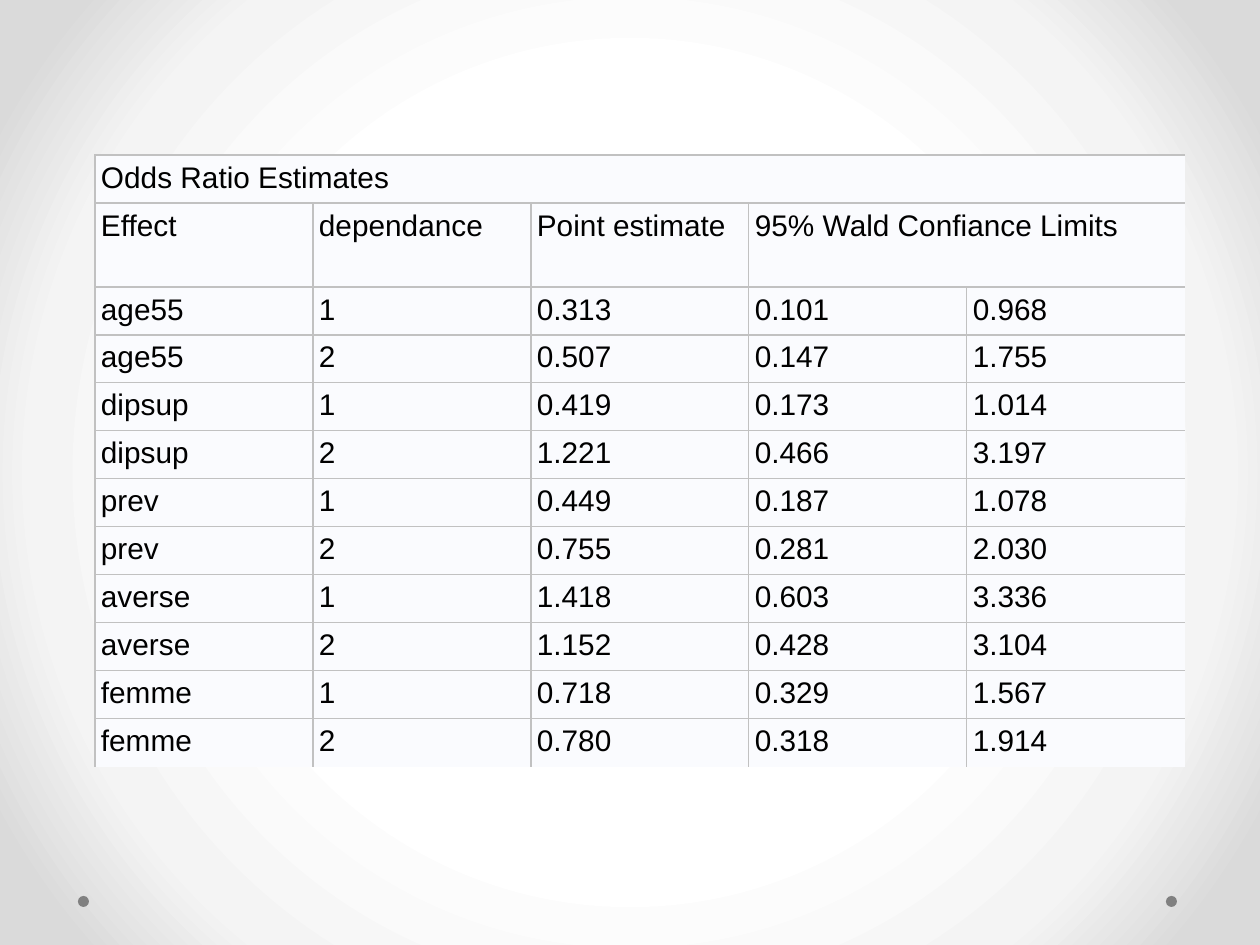
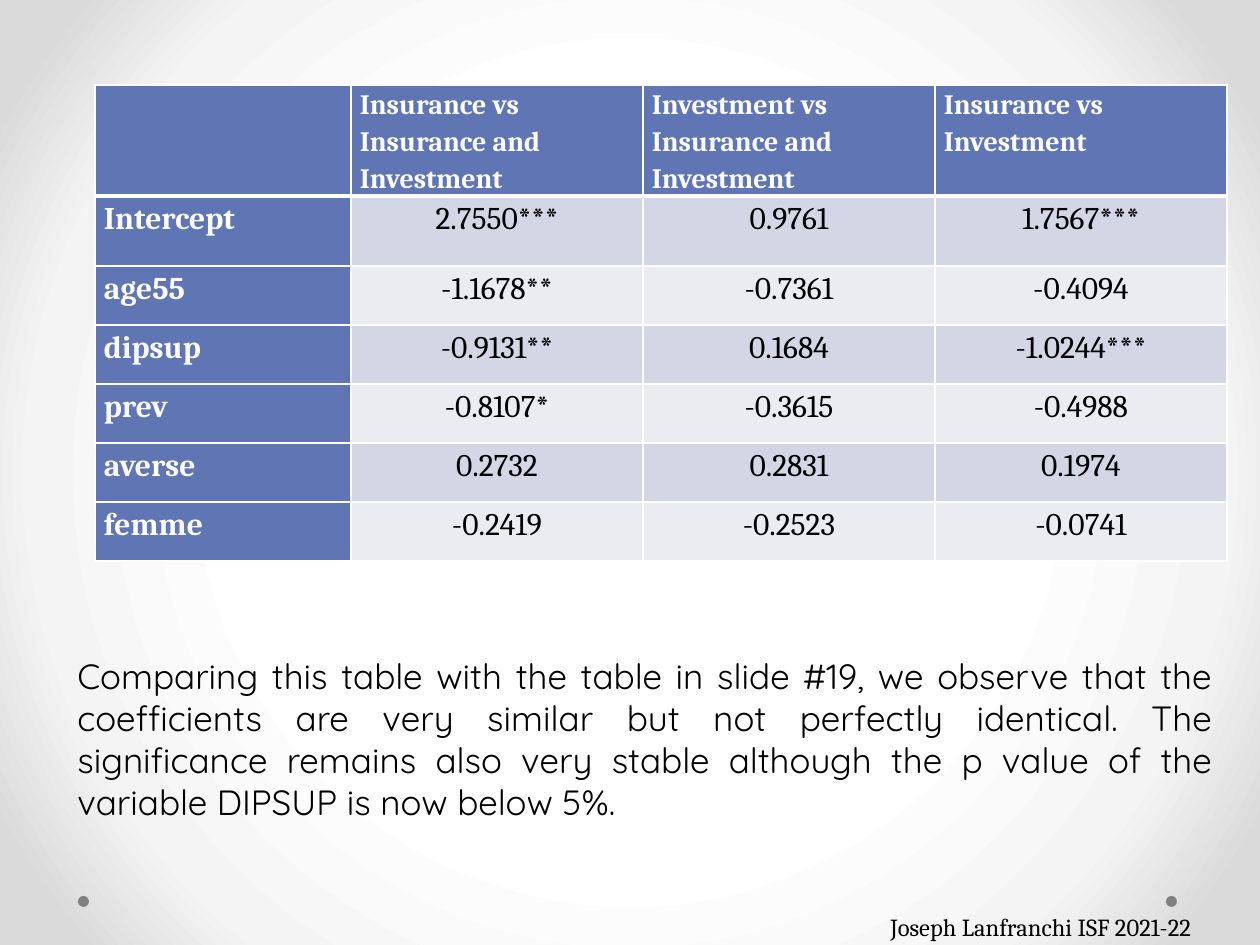
from pptx import Presentation, oxml, util as u
from pptx.dml.color import RGBColor
from pptx.enum import shapes, text
from pptx.oxml.ns import nsdecls, qn

BLACK, WHITE, GREY = "000000", "FFFFFF", "808080"
PALE, RULE = "FAFBFE", "C1C1C1"
BLUE, BANDS = "6076B4", ("D2D6E5", "EAECF2")
STOPS = ((50, WHITE), (76, "F4F4F4"), (92, "DADADA"))
PLAIN = "{2D5ABB26-0587-4C30-8999-92F81FD0307C}"  # table style without borders

ODDS = [
    ["Odds Ratio Estimates", "", "", "", ""],
    ["Effect", "dependance", "Point estimate", "95% Wald Confiance Limits", ""],
    ["age55", "1", "0.313", "0.101", "0.968"],
    ["age55", "2", "0.507", "0.147", "1.755"],
    ["dipsup", "1", "0.419", "0.173", "1.014"],
    ["dipsup", "2", "1.221", "0.466", "3.197"],
    ["prev", "1", "0.449", "0.187", "1.078"],
    ["prev", "2", "0.755", "0.281", "2.030"],
    ["averse", "1", "1.418", "0.603", "3.336"],
    ["averse", "2", "1.152", "0.428", "3.104"],
    ["femme", "1", "0.718", "0.329", "1.567"],
    ["femme", "2", "0.780", "0.318", "1.914"],
]
COEFS = [
    ["", "Insurance vs Insurance and Investment",
     "Investment vs Insurance and Investment", "Insurance vs Investment"],
    ["Intercept", "2.7550***", "0.9761", "1.7567***"],
    ["age55", "-1.1678**", "-0.7361", "-0.4094"],
    ["dipsup", "-0.9131**", "0.1684", "-1.0244***"],
    ["prev", "-0.8107*", "-0.3615", "-0.4988"],
    ["averse", "0.2732", "0.2831", "0.1974"],
    ["femme", "-0.2419", "-0.2523", "-0.0741"],
]
NOTE = ("Comparing this table with the table in slide #19, we observe that the "
        "coefficients are very similar but not perfectly identical. The "
        "significance remains also very stable although the p value of the "
        "variable DIPSUP is now below 5%.")


def px(n):
    return u.Emu(round(n * 914400 / 126))


def rgb(code):
    return RGBColor.from_string(code)


def write(frame, words, font, size, color=BLACK, bold=False, align="LEFT", space=None):
    para = frame.paragraphs[0]
    para.alignment = getattr(text.PP_ALIGN, align)
    para.line_spacing = space
    if words:
        run = para.add_run()
        run.text = words
        run.font.name, run.font.size, run.font.bold = font, u.Pt(size), bold
        run.font.color.rgb = rgb(color)


def add_text(slide, box, words, **style):
    frame = slide.shapes.add_textbox(*map(px, box)).text_frame
    frame.word_wrap = True
    write(frame, words, **style)


# Shared backdrop and dots
def set_back(master):
    stops = "".join(f'<a:gs pos="{pos * 1000}"><a:srgbClr val="{code}"/></a:gs>'
                    for pos, code in STOPS)
    tree = master.element.cSld
    old = tree.find(qn("p:bg"))
    if old is not None:
        tree.remove(old)
    tree.insert(0, oxml.parse_xml(
        f'<p:bg {nsdecls("p", "a")}><p:bgPr><a:gradFill rotWithShape="1">'
        f'<a:gsLst>{stops}</a:gsLst><a:path path="circle">'
        '<a:fillToRect l="50000" t="50000" r="50000" b="50000"/></a:path>'
        '</a:gradFill><a:effectLst/></p:bgPr></p:bg>'))


def add_page(deck):
    slide = deck.slides.add_slide(deck.slide_layouts[6])
    for left in (1166, 78):
        dot = slide.shapes.add_shape(shapes.MSO_SHAPE.OVAL, px(left), px(896), px(11), px(11))
        dot.shadow.inherit = False
        dot.fill.solid()
        dot.fill.fore_color.rgb = rgb(GREY)
        dot.line.fill.background()
    return slide


# Tables
def add_grid(slide, left, top, cols, rows):
    grid = slide.shapes.add_table(len(rows), len(cols), px(left), px(top),
                                  px(sum(cols)), px(sum(rows))).table
    grid.first_row = grid.horz_banding = False
    grid._tbl.tblPr.find(qn("a:tableStyleId")).text = PLAIN
    for col, wide in zip(grid.columns, cols):
        col.width = px(wide)
    for row, high in zip(grid.rows, rows):
        row.height = px(high)
    return grid


def set_cell(cell, words, fill, pad, edges, line, **style):
    """Format one cell; edges maps side letters, in L R T B order, to points."""
    cell.margin_left = cell.margin_right = px(pad[0])
    cell.margin_top = cell.margin_bottom = px(pad[1])
    cell.fill.solid()
    cell.fill.fore_color.rgb = rgb(fill)
    for i, (side, wide) in enumerate(edges.items()):
        cell._tc.tcPr.insert(i, oxml.parse_xml(
            f'<a:ln{side} {nsdecls("a")} w="{u.Pt(wide)}"><a:solidFill>'
            f'<a:srgbClr val="{line}"/></a:solidFill></a:ln{side}>'))
    write(cell.text_frame, words, **style)


def add_odds(slide):
    grid = add_grid(slide, 95, 155, [218] * 5, [48, 84] + [48] * 10)
    grid.cell(0, 0).merge(grid.cell(0, 4))
    grid.cell(1, 3).merge(grid.cell(1, 4))
    for r, row in enumerate(ODDS):
        sides = "LT" if r == len(ODDS) - 1 else "LTB"
        for c, words in enumerate(row):
            cell = grid.cell(r, c)
            if not cell.is_spanned:
                set_cell(cell, words, PALE, (6, 6), dict.fromkeys(sides, 0.75), RULE,
                         font="Arial", size=17)


def add_coefs(slide):
    grid = add_grid(slide, 95, 85, [256] + [292] * 3, [93, 70] + [59] * 5)
    for r, row in enumerate(COEFS):
        edges = {"L": 1, "R": 1, "T": 3 if r == 1 else 1, "B": 3 if r == 0 else 1}
        for c, words in enumerate(row):
            head = r == 0 or c == 0
            set_cell(grid.cell(r, c), words, BLUE if head else BANDS[(r - 1) % 2],
                     (9, 0), edges, WHITE, font="Cambria", size=18 if r else 16,
                     color=WHITE if head else BLACK, bold=head,
                     align="LEFT" if head else "CENTER", space=1.15)


def main():
    deck = Presentation()
    deck.slide_width, deck.slide_height = px(1260), px(945)
    set_back(deck.slide_master)

    # Odds ratios
    add_odds(add_page(deck))

    # Coefficients and comment
    slide = add_page(deck)
    add_coefs(slide)
    add_text(slide, (65, 648, 1160, 183), NOTE, font="Quicksand", size=20, align="JUSTIFY")
    add_text(slide, (878, 906, 387, 43), "Joseph Lanfranchi ISF 2021-22",
             font="Cambria", size=14)

    deck.save("out.pptx")


if __name__ == "__main__":
    main()
